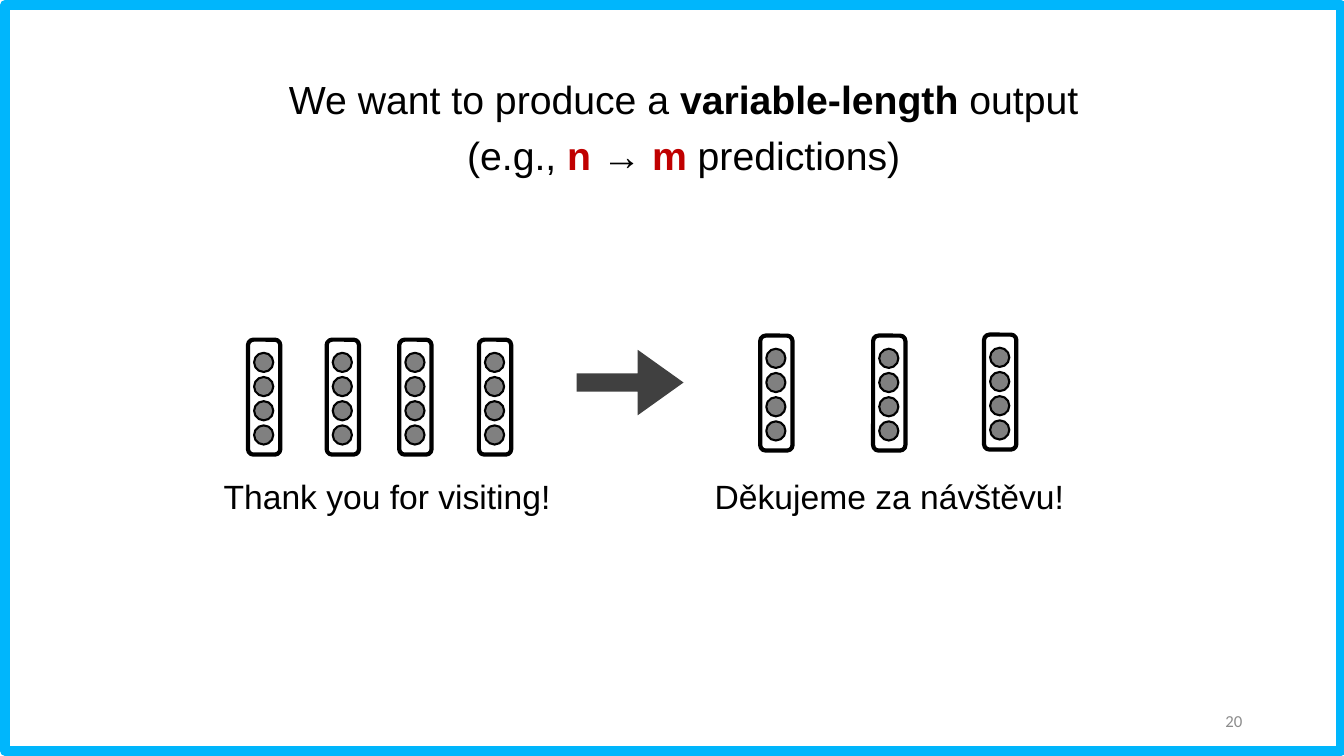
from dataclasses import dataclass

from pptx import Presentation
from pptx.dml.color import RGBColor
from pptx.enum.shapes import MSO_SHAPE
from pptx.enum.text import MSO_ANCHOR, MSO_AUTO_SIZE, PP_ALIGN
from pptx.util import Emu, Pt


@dataclass(frozen=True)
class Theme:
    font: str = "Arial"
    number_font: str = "Calibri"
    frame: str = "00B6FC"
    text: str = "000000"
    accent: str = "C00000"
    node: str = "808080"
    arrow: str = "404040"
    number: str = "8C8C8C"
    title_size: int = 28
    caption_size: int = 24
    number_size: int = 12


THEME = Theme()
PX = 9144


def px(*values):
    return [Emu(v * PX) for v in values]


def apply(target, values):
    for name, value in values.items():
        setattr(target, name, value)


def add_run(p, text, size, color=THEME.text, font=THEME.font, bold=False):
    r = p.add_run()
    r.text = text
    apply(r.font, {"name": font, "size": Pt(size), "bold": bold})
    r.font.color.rgb = RGBColor.from_string(color)


def add_shape(shapes, kind, box, fill=None, line=None, weight=0):
    sp = shapes.add_shape(kind, *px(*box))
    sp.shadow.inherit = False
    if fill:
        sp.fill.solid()
        sp.fill.fore_color.rgb = RGBColor.from_string(fill)
    else:
        sp.fill.background()
    if line:
        sp.line.color.rgb = RGBColor.from_string(line)
        sp.line.width = Pt(weight)
    else:
        sp.line.fill.background()
    return sp


def add_text(s, box, text, align=PP_ALIGN.LEFT, anchor=MSO_ANCHOR.TOP, **style):
    tf = s.shapes.add_textbox(*px(*box)).text_frame
    apply(tf, {"word_wrap": True, "vertical_anchor": anchor})
    p = tf.paragraphs[0]
    p.alignment = align
    add_run(p, text, **style)


def add_title(s, box):
    sp = s.shapes.title
    apply(sp, dict(zip(("left", "top", "width", "height"), px(*box))))
    tf = sp.text_frame
    apply(tf, {"word_wrap": True, "auto_size": MSO_AUTO_SIZE.NONE,
               "vertical_anchor": MSO_ANCHOR.TOP})
    p = tf.paragraphs[0]
    apply(p, {"alignment": PP_ALIGN.CENTER, "line_spacing": 1.2, "space_before": Pt(10)})
    lines = [
        [("We want to produce a ", {}), ("variable-length", {"bold": True}), (" output", {})],
        [("(e.g., ", {}), ("n ", {"bold": True, "color": THEME.accent}), ("→ ", {}),
         ("m ", {"bold": True, "color": THEME.accent}), ("predictions)", {})],
    ]
    for i, line in enumerate(lines):
        if i:
            p.add_line_break()
        for text, style in line:
            add_run(p, text, THEME.title_size, **style)


def add_vector(s, x, y):
    group = s.shapes.add_group_shape().shapes
    add_shape(group, MSO_SHAPE.ROUNDED_RECTANGLE, (x, y, 32, 114), line=THEME.text, weight=3)
    for i in range(4):
        add_shape(group, MSO_SHAPE.OVAL, (x + 6, y + 13 + 24 * i, 19, 19),
                  THEME.node, THEME.text, 1.5)


def add_sequence(s, box, offsets, caption):
    x, y, w, h = box
    for dx, dy in offsets:
        add_vector(s, x + dx, y + dy)
    add_text(s, (x, y + h - 50, w, 50), caption, size=THEME.caption_size)


def add_arrow(s, box):
    sp = add_shape(s.shapes, MSO_SHAPE.RIGHT_ARROW, box, THEME.arrow)
    sp.adjustments[0] = 0.28
    sp.adjustments[1] = 0.7


def main():
    prs = Presentation()
    apply(prs, dict(zip(("slide_width", "slide_height"), px(1333, 750))))
    s = prs.slides.add_slide(prs.slide_layouts[5])
    add_shape(s.shapes, MSO_SHAPE.RECTANGLE, (5, 5, 1325, 740), line=THEME.frame, weight=7)
    add_title(s, (267, 60, 822, 150))
    add_sequence(s, (212, 337, 384, 180), [(34, 0), (112, 0), (184, 0), (263, 0)],
                 "Thank you for visiting!")
    add_sequence(s, (699, 333, 384, 184), [(55, 0), (167, 0), (277, -1)],
                 "Děkujeme za návštěvu!")
    add_arrow(s, (572, 347, 106, 65))
    add_text(s, (942, 695, 300, 40), "20", PP_ALIGN.RIGHT, MSO_ANCHOR.MIDDLE,
             size=THEME.number_size, color=THEME.number, font=THEME.number_font)
    prs.save("out.pptx")


if __name__ == "__main__":
    main()
